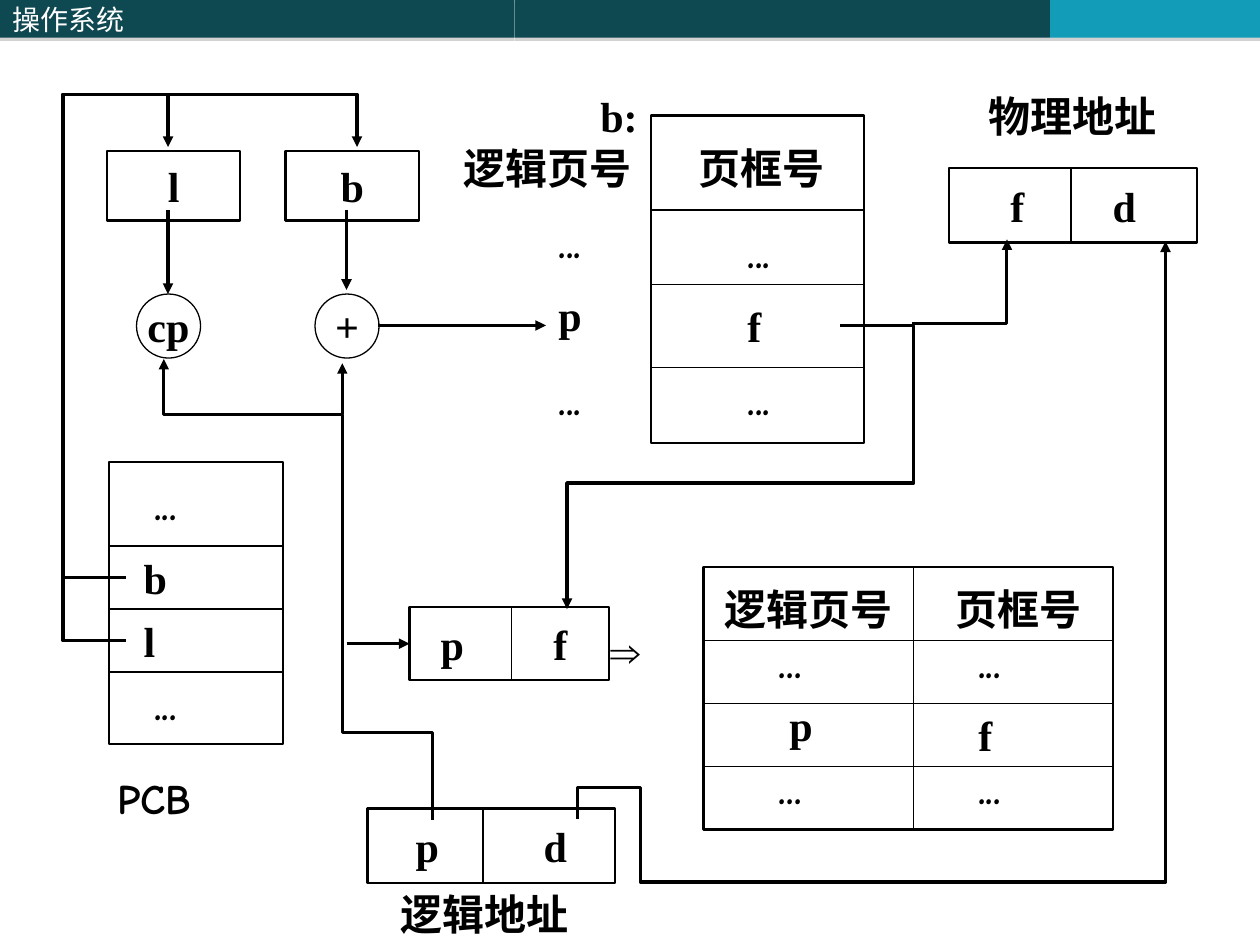
"""Build the paging address translation slide on a 120 by 90 grid."""
import pptx
import pptx.dml.color
import pptx.enum.shapes
import pptx.enum.text
import pptx.oxml
import pptx.oxml.ns
import pptx.util
from lxml import etree

COLS, ROWS = 120, 90
COLORS = {"teal": "0E4851", "cyan": "139CB7", "white": "FFFFFF",
          "black": "000000", "shadow": "808080"}
SERIF, COMIC, SANS, ARROW = "Times New Roman", "Comic Neue", "Noto Sans CJK SC", "Arial"
BODY = {"size": pptx.util.Pt(24), "bold": True}
TITLE = {"size": pptx.util.Pt(16), "name": SANS}
LEFT, CENTER = pptx.enum.text.PP_ALIGN.LEFT, pptx.enum.text.PP_ALIGN.CENTER
SHAPE, LINE = pptx.enum.shapes.MSO_SHAPE, pptx.enum.shapes.MSO_CONNECTOR.STRAIGHT
MIDDLE = pptx.enum.text.MSO_ANCHOR.MIDDLE
GROW = pptx.enum.text.MSO_AUTO_SIZE.SHAPE_TO_FIT_TEXT
THIN, EDGE, FLOW, HEAVY = 0.75, 1.25, 1.75, 2

HEADER = [(0, 49, "teal", "操作系统"), (49, 100, "teal", ""), (100, 120, "cyan", "")]
HEADER_ROWS = 3.6

BOXES = {
    "limit": {"at": (10.2, 14.4, 12.7, 6.6), "text": "l"},
    "base": {"at": (27.2, 14.4, 12.7, 6.6), "text": "b"},
    "pcb": {"at": (10.4, 44, 16.6, 26.9), "rows": (52, 58, 64)},
    "page table": {"at": (62, 11, 20.3, 31.2), "rows": (20, 27.1, 35)},
    "tlb": {"at": (67, 54, 39, 25), "rows": (61, 67, 73), "cols": (87,)},
    "physical": {"at": (90.4, 16, 23.6, 7.1), "cols": (102,),
                 "text": "\tf\td", "tabs": (5.3, 15.5)},
    "logical": {"at": (35, 77, 23.6, 7.1), "cols": (46,), "divider": EDGE,
                "text": "\tp\td", "tabs": (4.5, 16.7)},
    "entry": {"at": (39, 57.8, 19, 7), "cols": (48.7,),
              "text": "\tp\tf", "tabs": (2.9, 13.2)},
    "compare": {"at": (13, 28, 6.1, 6.1), "text": "cp", "kind": SHAPE.OVAL, "width": THIN},
    "add": {"at": (30, 28, 6.1, 6.1), "text": "+", "kind": SHAPE.OVAL, "width": THIN},
}

LABELS = [
    ("⇒", 57, 59, 5, ARROW, LEFT),
    ("逻辑页号", 67, 55, 20, SERIF, CENTER), ("页框号", 87, 55, 20, SERIF, CENTER),
    ("p", 74, 66, 7, SERIF, LEFT), ("f", 92, 67, 7, SERIF, LEFT),
    ("b", 12.5, 52, 11, SERIF, LEFT), ("l", 12.5, 58, 11, SERIF, LEFT),
    ("PCB", 10, 73, 12, COMIC, LEFT),
    ("页框号", 63, 13, 19, SERIF, CENTER), ("逻辑页号", 43, 13, 20, SERIF, LEFT),
    ("f", 70, 28, 11, SERIF, LEFT), ("p", 52, 27, 9, SERIF, LEFT),
    ("物理地址", 93, 8, 20, SERIF, LEFT), ("逻辑地址", 37, 84, 20, SERIF, LEFT),
    ("b:", 56, 8, 7, SERIF, LEFT),
]
ELLIPSES = [(73, 60), (92, 60), (73, 72), (92, 72), (13.5, 45), (13.5, 64),
            (70, 21), (70, 35), (52, 20), (52, 35)]
LABELS += [("...", x, y, 8, COMIC, LEFT) for x, y in ELLIPSES]

PATHS = [
    (HEAVY, [(12, 55), (6, 55), (6, 9), (34, 9), (34, 14)]),
    (HEAVY, [(12, 61), (6, 61), (6, 9), (16, 9), (16, 14)]),
    (HEAVY, [(55, 78), (55, 75), (61, 75), (61, 84), (111, 84), (111, 23)]),
    (HEAVY, [(80, 31), (87, 31), (87, 46), (54, 46), (54, 58)]),
    (FLOW, [(41.2, 78.1), (41.2, 69.8), (32.6, 69.8), (32.6, 39.5), (15.6, 39.5), (15.6, 34.2)]),
    (FLOW, [(86.9, 30.8), (95.9, 30.8), (95.9, 22.8)]),
]
ARROWS = [
    (HEAVY, (33, 20), (33, 27.6), None),
    (HEAVY, (16, 20), (16, 28), None),
    (HEAVY, (36, 31), (52, 31), None),
    (FLOW, (32.6, 39.4), (32.6, 34.6), None),
    (HEAVY, (33, 61.3), (39, 61.3), ("entry", 1)),
]

prs = pptx.Presentation()
prs.slide_width, prs.slide_height = pptx.util.Inches(10), pptx.util.Inches(7.5)
s = prs.slides.add_slide(prs.slide_layouts[6])


def grid(*values):
    return [round(v * prs.slide_width / COLS) for v in values]


def rgb(name):
    return pptx.dml.color.RGBColor.from_string(COLORS[name])


def child(parent, tag, **attrs):
    el = etree.SubElement(parent, pptx.oxml.ns.qn(tag))
    for key, value in attrs.items():
        el.set(key, str(value))
    return el


def stroke(sp, width, arrow=False):
    sp.line.color.rgb = rgb("black")
    sp.line.width = pptx.util.Pt(width)
    if arrow:
        child(sp.element.spPr.find(pptx.oxml.ns.qn("a:ln")), "a:tailEnd", type="triangle")


def write(tf, text, font, color="black", align=LEFT, tabs=()):
    p = tf.paragraphs[0]
    p.alignment = align
    if tabs:
        stops = child(p._p.get_or_add_pPr(), "a:tabLst")
        for pos in grid(*tabs):
            child(stops, "a:tab", pos=pos, algn="ctr")
    r = p.add_run()
    r.text = text
    for key, value in font.items():
        setattr(r.font, key, value)
    r.font.color.rgb = rgb(color)


def block(at, fill, kind=SHAPE.RECTANGLE):
    sp = s.shapes.add_shape(kind, *grid(*at))
    sp.shadow.inherit = False
    sp.fill.solid()
    sp.fill.fore_color.rgb = rgb(fill)
    sp.text_frame.vertical_anchor = MIDDLE
    return sp


def connect(width, start, end, arrow=False):
    sp = s.shapes.add_connector(LINE, *grid(*start, *end))
    stroke(sp, width, arrow)
    child(sp.element.spPr, "a:effectLst")
    return sp


def header():
    for left, right, fill, text in HEADER:
        sp = block((left, 0, right - left, HEADER_ROWS), fill)
        sp.line.fill.background()
        effects = sp.element.spPr.find(pptx.oxml.ns.qn("a:effectLst"))
        shade = child(effects, "a:outerShdw", dist=pptx.util.Pt(1.8), dir=5400000)
        child(child(shade, "a:srgbClr", val=COLORS["shadow"]), "a:alpha", val=35000)
        if text:
            write(sp.text_frame, text, TITLE, "white")


def box(at, text="", tabs=(), rows=(), cols=(), kind=SHAPE.RECTANGLE, width=EDGE, divider=THIN):
    sp = block(at, "white", kind)
    stroke(sp, width)
    left, top, w, h = at
    for y in rows:
        connect(divider, (left, y), (left + w, y))
    for x in cols:
        connect(divider, (x, top), (x, top + h))
    if text:
        sp.text_frame.word_wrap = bool(tabs)
        write(sp.text_frame, text, {**BODY, "name": SERIF}, align=LEFT if tabs else CENTER, tabs=tabs)
    return sp


def main():
    header()
    boxes = {name: box(**spec_) for name, spec_ in BOXES.items()}
    for text, x, y, w, name, align in LABELS:
        tf = s.shapes.add_textbox(*grid(x, y, w, 6)).text_frame
        tf.word_wrap, tf.auto_size = True, GROW
        write(tf, text, {**BODY, "name": name}, align=align)
    for width, points in PATHS:
        start, *rest = [grid(*point) for point in points]
        builder = s.shapes.build_freeform(*start)
        builder.add_line_segments(rest, close=False)
        sp = builder.convert_to_shape()
        sp.shadow.inherit = False
        sp.fill.background()
        stroke(sp, width, True)
    for width, start, end, target in ARROWS:
        sp = connect(width, start, end, True)
        if target:
            name, side = target
            sp.end_connect(boxes[name], side)
    prs.save("out.pptx")


if __name__ == "__main__":
    main()
